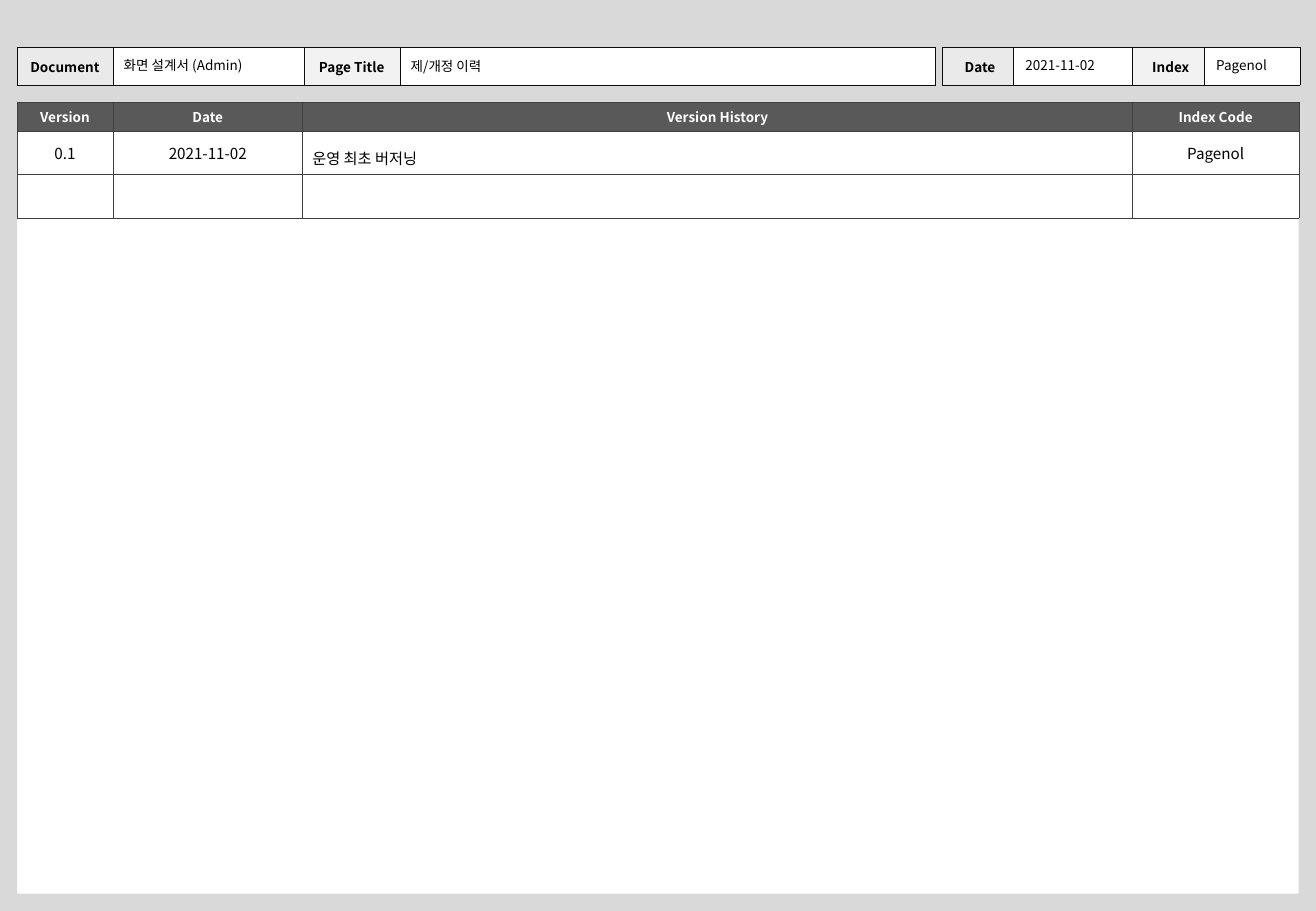
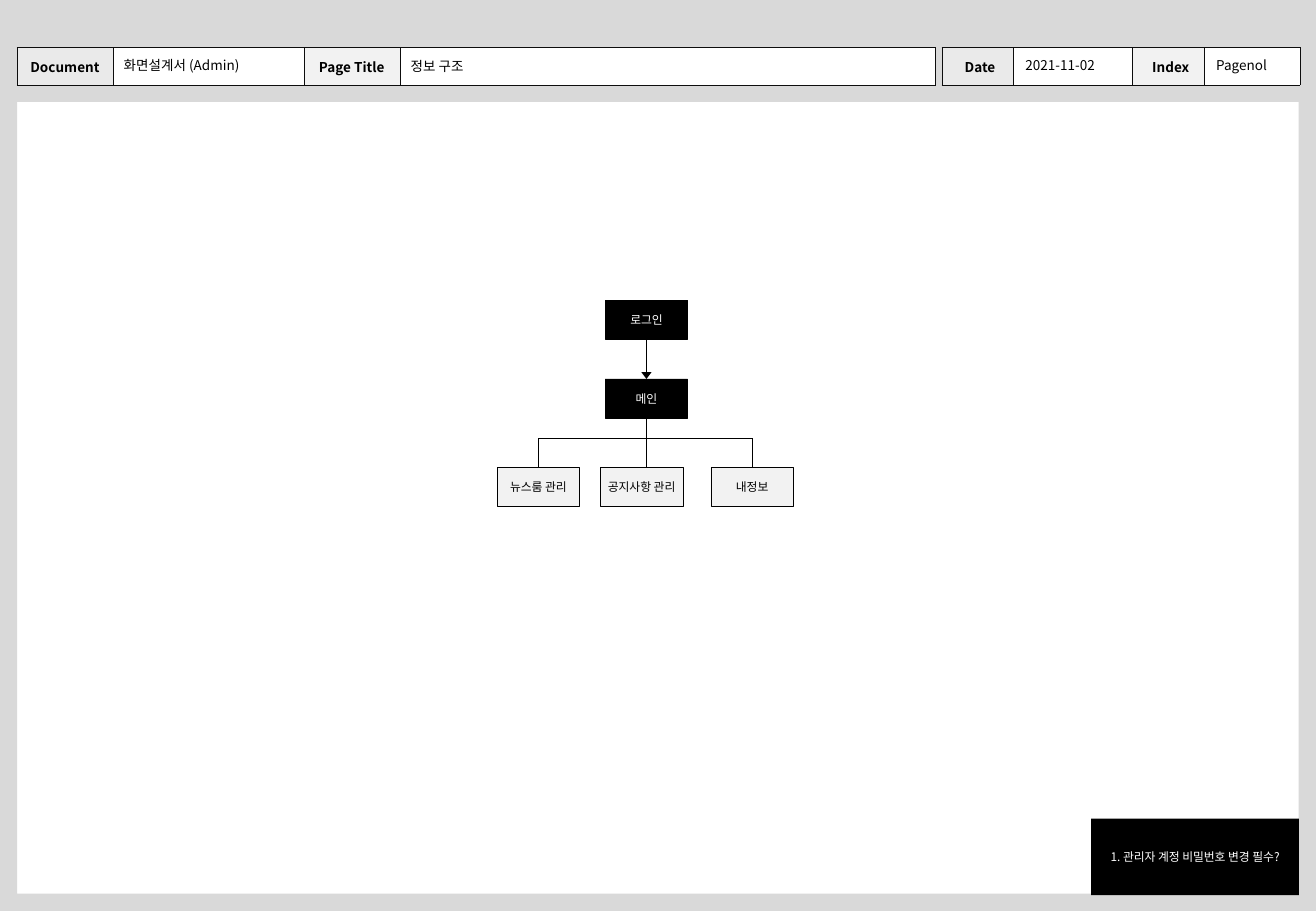
"""Builds two screen-design pages: the version history and the information structure."""
from lxml import etree
from pptx import Presentation
from pptx.dml.color import RGBColor
from pptx.enum.shapes import MSO_CONNECTOR, MSO_SHAPE
from pptx.enum.text import MSO_ANCHOR, MSO_AUTO_SIZE, PP_ALIGN
from pptx.oxml.ns import qn
from pptx.util import Inches, Pt

RECTANGLE, FRAME = MSO_SHAPE.RECTANGLE, MSO_SHAPE.FRAME
STRAIGHT = MSO_CONNECTOR.STRAIGHT
LEFT, CENTER = PP_ALIGN.LEFT, PP_ALIGN.CENTER
MIDDLE = MSO_ANCHOR.MIDDLE
NO_AUTOFIT = MSO_AUTO_SIZE.NONE
TITLE_ONLY = 5

FONT = "Noto Sans CJK KR"
INDEX, DATE = "Pagenol", "2021-11-02"
COLORS = {
    "black": "000000", "white": "FFFFFF", "margin": "D9D9D9",
    "label": "EAEAEA", "light": "F2F2F2", "heading": "595959",
    "header line": "0D0D0D", "history line": "404040",
}
COLORS = {name: RGBColor.from_string(value) for name, value in COLORS.items()}


def write(frame, text, size, color="black", bold=False, align=CENTER, **spacing):
    """Put one formatted paragraph into a text frame."""
    para = frame.paragraphs[0]
    for name, value in {"alignment": align, **spacing}.items():
        setattr(para, name, value)
    if not text:
        etree.SubElement(para._p, qn("a:endParaRPr"), sz=str(size * 100))
        return
    span = para.add_run()
    span.text = text
    for name, value in {"name": FONT, "size": Pt(size), "bold": bold}.items():
        setattr(span.font, name, value)
    span.font.color.rgb = COLORS[color]
    etree.SubElement(span.font._element, qn("a:ea"), typeface=FONT)


def add_grid(page, left, top, widths, heights, fills, line, margins):
    """Add a table with thin borders, one list of fills per row, and cell margins."""
    shape = page.shapes.add_table(len(heights), len(widths), Inches(left), Inches(top),
                                  Inches(sum(widths)), Inches(sum(heights)))
    table = shape.table
    table.horz_banding = False
    table.first_row = len(heights) > 1
    for column, width in zip(table.columns, widths):
        column.width = Inches(width)
    for row, height, row_fills in zip(table.rows, heights, fills):
        row.height = Inches(height)
        for cell, fill in zip(row.cells, row_fills):
            cell.vertical_anchor = MIDDLE
            for side, margin in zip(("left", "top", "right", "bottom"), margins):
                setattr(cell, f"margin_{side}", Inches(margin))
            for edge in ("a:lnL", "a:lnR", "a:lnT", "a:lnB"):
                border = etree.SubElement(cell._tc.get_or_add_tcPr(), qn(edge), w=str(Pt(0.25)))
                solid = etree.SubElement(border, qn("a:solidFill"))
                etree.SubElement(solid, qn("a:srgbClr"), val=str(COLORS[line]))
            cell.fill.solid()
            cell.fill.fore_color.rgb = COLORS[fill]
    return shape


deck = Presentation()
deck.slide_width, deck.slide_height = Inches(10.83), Inches(7.5)
layout = deck.slide_layouts[TITLE_ONLY]
for holder in list(layout.placeholders)[1:]:
    holder.element.getparent().remove(holder.element)
history_page, structure_page = [deck.slides.add_slide(layout) for _ in range(2)]

shared = []
for kind, height in ((RECTANGLE, 0.84), (FRAME, 7.5)):
    margin = history_page.shapes.add_shape(kind, 0, 0, deck.slide_width, Inches(height))
    margin.shadow.inherit = False
    margin.fill.solid()
    margin.fill.fore_color.rgb = COLORS["margin"]
    margin.line.fill.background()
    shared.append(margin)
margin.adjustments[0] = 0.019

for left, widths, labels, margins in (
    (0.14, (0.79, 1.57, 0.79, 4.41), ("Document", "", "Page Title", ""), (0.04,) * 4),
    (7.75, (0.59, 0.98, 0.59, 0.79), ("Date", "", "Index", ""), (0.04, 0, 0, 0)),
):
    header = add_grid(history_page, left, 0.39, widths, (0.31,),
                      [("label", "white", "light", "white")], "header line", margins)
    for cell, label in zip(header.table.rows[0].cells, labels):
        write(cell.text_frame, label, 8, bold=True)
    shared.append(header)

for shape in shared:
    layout.shapes.element.append(shape.element)

for page, document, title in (
    (history_page, "화면 설계서 (Admin)", "제/개정 이력"),
    (structure_page, "화면설계서 (Admin)", "정보 구조"),
):
    for left, width, text in (
        (0.92, 1.53, document), (3.28, 4.38, title),
        (8.34, 0.96, DATE), (9.91, 0.76, INDEX),
    ):
        place = [Inches(length) for length in (left, 0.44, width, 0.2)]
        box = page.shapes.title if text == title else page.shapes.add_textbox(*place)
        box.left, box.top, box.width, box.height = place
        frame = box.text_frame
        for name, value in {"word_wrap": True, "auto_size": NO_AUTOFIT,
                            "vertical_anchor": MIDDLE}.items():
            setattr(frame, name, value)
        write(frame, text, 8, align=LEFT, space_before=Pt(1.6))

history = add_grid(history_page, 0.14, 0.84, (0.79, 1.56, 6.83, 1.37), (0.22, 0.32, 0.36),
                   [["heading"] * 4, ["white"] * 4, ["white"] * 4],
                   "history line", (0.08, 0.04, 0.08, 0.04)).table
for cell, text in zip(history.rows[0].cells, ("Version", "Date", "Version History", "Index Code")):
    write(cell.text_frame, text, 8, "white", bold=True, space_before=Pt(1.6))
for cell, text in zip(history.rows[1].cells, ("0.1", DATE, "운영 최초 버저닝", INDEX)):
    if text == "운영 최초 버저닝":
        write(cell.text_frame, text, 9, align=LEFT, line_spacing=1.5)
    else:
        write(cell.text_frame, text, 9)
for cell in history.rows[2].cells:
    write(cell.text_frame, "", 9)

NODE, NOTE = (0.68, 0.32), (1.71, 0.63)
nodes = {}
for text, left, top, size, fill, color in (
    ("로그인", 4.98, 2.47, NODE, "black", "white"),
    ("메인", 4.98, 3.12, NODE, "black", "white"),
    ("뉴스룸 관리", 4.09, 3.85, NODE, "light", "black"),
    ("공지사항 관리", 4.94, 3.85, NODE, "light", "black"),
    ("내정보", 5.85, 3.85, NODE, "light", "black"),
    ("1. 관리자 계정 비밀번호 변경 필수?", 8.98, 6.74, NOTE, "black", "white"),
):
    node = structure_page.shapes.add_shape(
        RECTANGLE, *(Inches(length) for length in (left, top, *size)))
    node.shadow.inherit = False
    node.fill.solid()
    node.fill.fore_color.rgb = COLORS[fill]
    if size == NOTE:
        node.line.fill.background()
    else:
        node.line.color.rgb = COLORS["black"]
        node.line.width = Pt(0.25)
    frame = node.text_frame
    for name, value in {"margin_left": Inches(0.04), "margin_right": Inches(0.04),
                        "margin_top": 0, "margin_bottom": 0,
                        "word_wrap": True, "vertical_anchor": MIDDLE}.items():
        setattr(frame, name, value)
    write(frame, text, 7, color)
    nodes[text] = node

TRUNK, BUS, CHILD_TOP = 5.32, 3.61, 3.85
FIRST, LAST = 4.43, 6.19
links = []
for ends in (
    (TRUNK, 2.79, TRUNK, 3.12), (TRUNK, 3.44, TRUNK, BUS), (FIRST, BUS, LAST, BUS),
    *((x, BUS, x, CHILD_TOP) for x in (FIRST, TRUNK, LAST)),
):
    link = structure_page.shapes.add_connector(STRAIGHT, *(Inches(length) for length in ends))
    link.line.color.rgb = COLORS["black"]
    link.line.width = Pt(0.75)
    etree.SubElement(link._element.spPr, qn("a:effectLst"))
    links.append(link)
links[0].begin_connect(nodes["로그인"], 2)
links[0].end_connect(nodes["메인"], 0)
etree.SubElement(links[0].line._get_or_add_ln(), qn("a:tailEnd"), type="triangle", len="sm")

deck.save("out.pptx")
